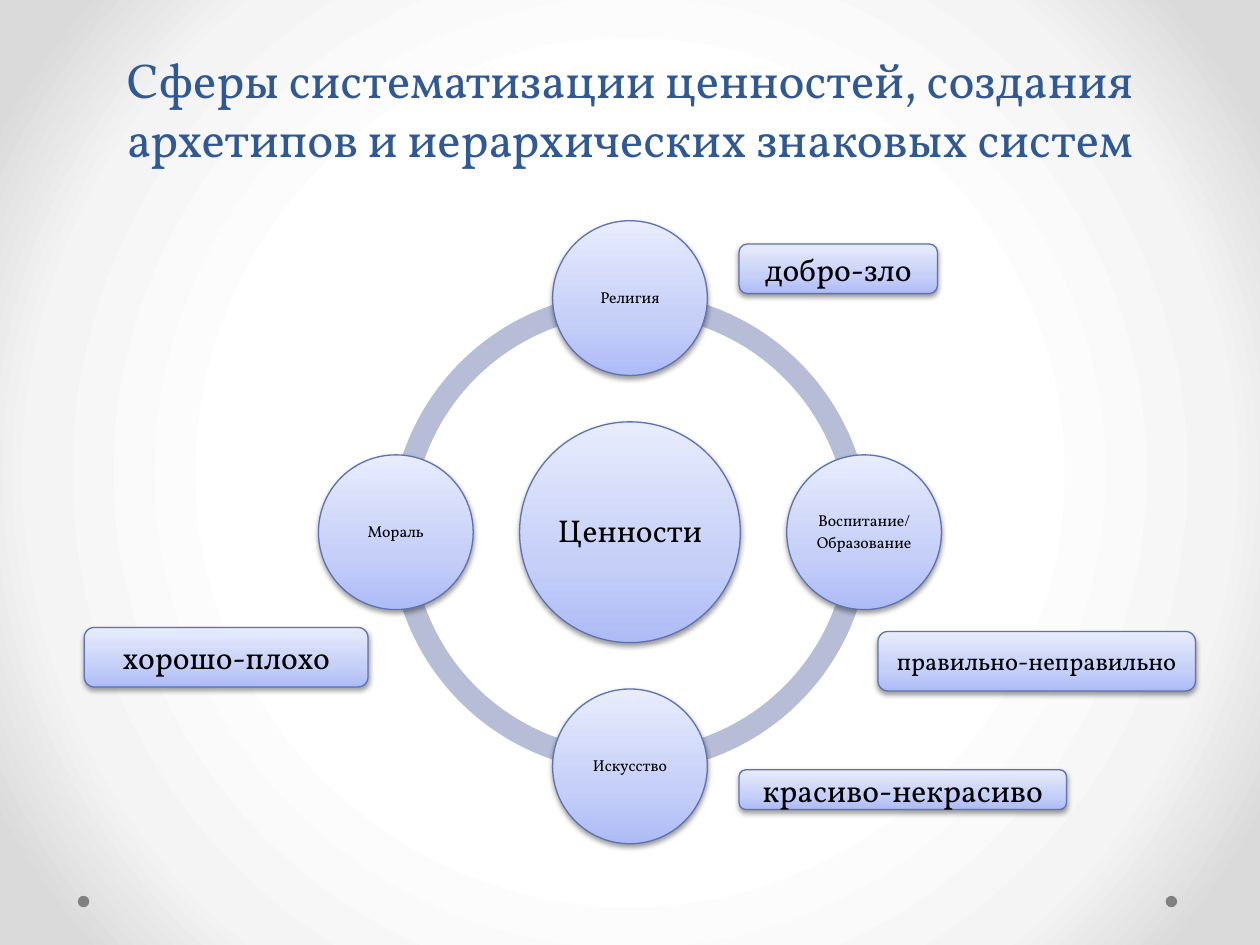
"""Builds a slide with a ring of four value spheres and their labels."""
import math

import pptx
import pptx.dml.color
import pptx.enum.shapes
import pptx.enum.text
import pptx.oxml
import pptx.oxml.ns
import pptx.util

Cm, Pt = pptx.util.Cm, pptx.util.Pt
SHAPE = pptx.enum.shapes.MSO_SHAPE
ANCHOR = pptx.enum.text.MSO_ANCHOR
NS = pptx.oxml.ns.nsdecls("a")


def rgb(value):
    return pptx.dml.color.RGBColor.from_string(value)


def set_gradient(fill, element, stops, direction):
    fill.gradient()
    old = element.xpath(".//a:gradFill")[0]
    gs = "".join(f'<a:gs pos="{pos * 1000}"><a:srgbClr val="{color}"/></a:gs>'
                 for pos, color in stops)
    new = pptx.oxml.parse_xml(
        f'<a:gradFill {NS} rotWithShape="1"><a:gsLst>{gs}</a:gsLst>{direction}</a:gradFill>')
    old.getparent().replace(old, new)


class Deck:
    font = "Vollkorn"
    title_color = "2F5897"
    text_color = "000000"
    line_color = "5C72B2"
    ring_color = "B7BDD6"
    dot_color = "808080"
    shape_stops = [(0, "ADBBF6"), (35, "C5CFF8"), (100, "E8ECFD")]
    back_stops = [(50, "FFFFFF"), (76, "F4F4F4"), (92, "DADADA")]

    def __init__(self):
        self.prs = pptx.Presentation()
        self.prs.slide_width, self.prs.slide_height = Cm(25.4), Cm(19.05)
        self.s = self.prs.slides.add_slide(self.prs.slide_layouts[5])

    def background(self):
        set_gradient(self.s.background.fill, self.s.element, self.back_stops,
                     '<a:path path="circle">'
                     '<a:fillToRect l="50000" t="50000" r="50000" b="50000"/></a:path>')

    def set_text(self, tf, text, size, color):
        tf.text = text
        tf.word_wrap = True
        for p in tf.paragraphs:
            p.alignment = pptx.enum.text.PP_ALIGN.CENTER
            for r in p.runs:
                r.font.name, r.font.size = self.font, Pt(size)
                r.font.color.rgb = rgb(color)

    def title(self, text, x, y, w, h):
        sp = self.s.shapes.title
        sp.left, sp.top, sp.width, sp.height = Cm(x), Cm(y), Cm(w), Cm(h)
        tf = sp.text_frame
        self.set_text(tf, text, 28, self.title_color)
        tf.auto_size = pptx.enum.text.MSO_AUTO_SIZE.NONE
        tf.vertical_anchor = ANCHOR.BOTTOM

    def flat(self, kind, x, y, size, color):
        sp = self.s.shapes.add_shape(kind, Cm(x), Cm(y), Cm(size), Cm(size))
        sp.shadow.inherit = False
        sp.fill.solid()
        sp.fill.fore_color.rgb = rgb(color)
        sp.line.fill.background()
        return sp

    def dot(self, x, y):
        self.flat(SHAPE.OVAL, x, y, 0.23, self.dot_color)

    def arc(self, cx, cy, size, start, end):
        sp = self.flat(SHAPE.BLOCK_ARC, cx - size / 2, cy - size / 2, size, self.ring_color)
        for i, value in enumerate((start * 0.6, end * 0.6, 0.046)):
            sp.adjustments[i] = value

    def glossy(self, kind, x, y, w, h, text, size):
        sp = self.s.shapes.add_shape(kind, Cm(x), Cm(y), Cm(w), Cm(h))
        set_gradient(sp.fill, sp.element, self.shape_stops,
                     '<a:lin ang="16200000" scaled="0"/>')
        sp.line.color.rgb = rgb(self.line_color)
        sp.line.width = Pt(0.75)
        sp.shadow.inherit = False
        sp.element.xpath(".//a:effectLst")[0].append(pptx.oxml.parse_xml(
            f'<a:outerShdw {NS} blurRad="{Pt(3.1)}" dist="{Pt(1.6)}" dir="5400000" '
            'rotWithShape="0"><a:srgbClr val="000000"><a:alpha val="38000"/>'
            '</a:srgbClr></a:outerShdw>'))
        tf = sp.text_frame
        self.set_text(tf, text, size, self.text_color)
        tf.vertical_anchor = ANCHOR.MIDDLE
        return tf

    def circle(self, cx, cy, d, text, size):
        tf = self.glossy(SHAPE.OVAL, cx - d / 2, cy - d / 2, d, d, text, size)
        tf.margin_left = tf.margin_right = tf.margin_top = tf.margin_bottom = Cm(0.03)
        for p in tf.paragraphs:
            p.line_spacing = 0.9
        for p in tf.paragraphs[:-1]:
            p.space_after = Pt(round(size * 0.35))

    def label(self, x, y, w, h, text, size=18):
        self.glossy(SHAPE.ROUNDED_RECTANGLE, x, y, w, h, text, size)


def main():
    deck = Deck()
    deck.background()
    deck.title("Сферы систематизации ценностей, создания архетипов и иерархических "
               "знаковых систем", 1.27, 0.91, 22.86, 2.59)
    for x in (23.5, 1.57):
        deck.dot(x, 18.06)

    cx, cy, orbit = 12.7, 10.73, 4.72
    for start in (180, 90, 0, 270):
        deck.arc(cx, cy, 9.68, start, (start + 90) % 360)
    deck.circle(cx, cy, 4.45, "Ценности", 18)
    spheres = ["Религия", "Воспитание/\nОбразование", "Искусство", "Мораль"]
    for i, text in enumerate(spheres):
        angle = math.radians(90 * i - 90)
        deck.circle(cx + orbit * math.cos(angle), cy + orbit * math.sin(angle), 3.12, text, 9)

    deck.label(14.9, 4.92, 4, 1, "добро-зло")
    deck.label(17.7, 12.73, 6.4, 1.2, "правильно-неправильно", 14)
    deck.label(14.9, 15.52, 6.6, 0.8, "красиво-некрасиво")
    deck.label(1.7, 12.65, 5.72, 1.2, "хорошо-плохо")
    deck.prs.save("out.pptx")


if __name__ == "__main__":
    main()
